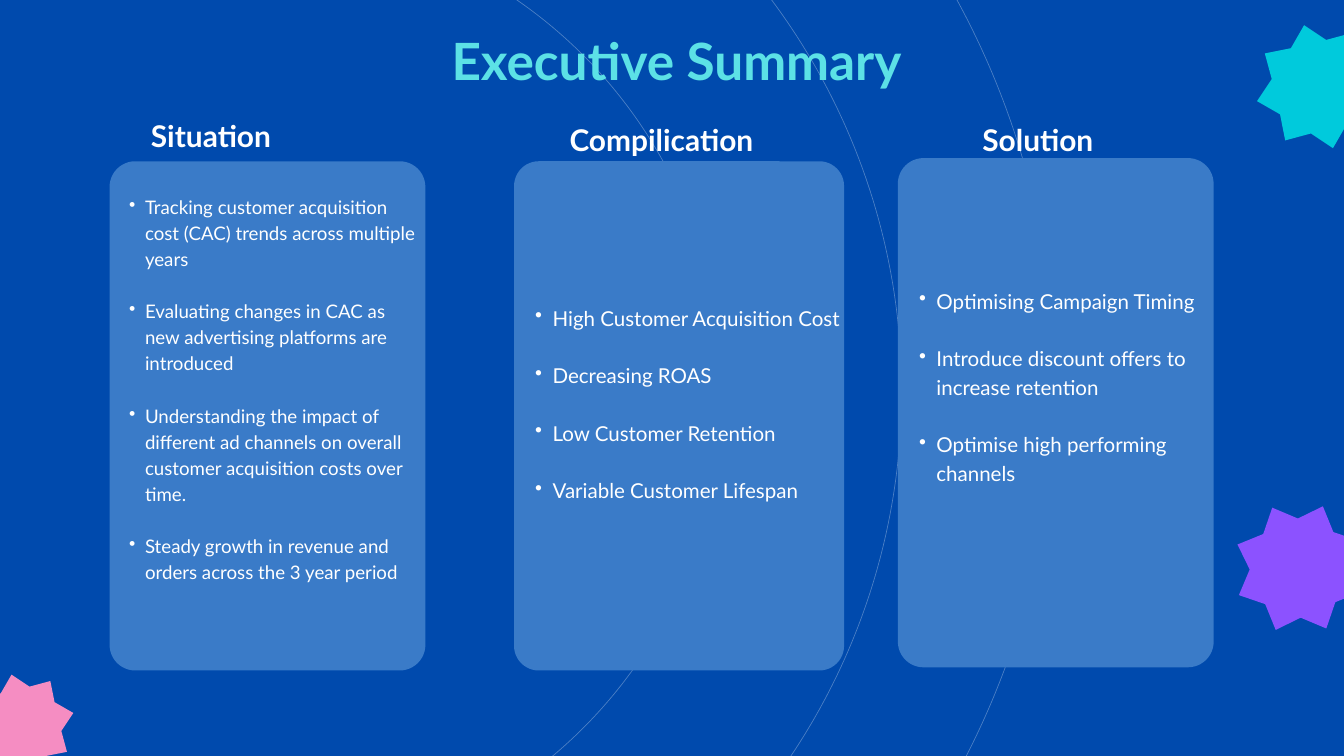
"""Build the executive summary slide: three summary cards on a blue ground."""
from dataclasses import dataclass

import lxml.etree
import pptx
import pptx.dml.color
import pptx.enum.shapes
import pptx.enum.text
import pptx.oxml.ns
import pptx.util

Pt = pptx.util.Pt
RGB = pptx.dml.color.RGBColor.from_string
SHAPE = pptx.enum.shapes.MSO_SHAPE
ALIGN = pptx.enum.text.PP_ALIGN
ANCHOR = pptx.enum.text.MSO_ANCHOR
qn = pptx.oxml.ns.qn


@dataclass(frozen=True)
class Theme:
    font: str = "Lato"
    ground: str = "004AAD"
    card: str = "3A7BC8"
    text: str = "FFFFFF"
    title: str = "5CE1E6"
    pink: str = "F58DC2"
    cyan: str = "00CADC"
    purple: str = "8C52FF"
    title_size: int = 55
    heading_size: int = 32
    dense_size: int = 20
    body_size: int = 22


THEME = Theme()


def place(slide, preset, left, top, width, height, color=None):
    figure = slide.shapes.add_shape(preset, Pt(left), Pt(top), Pt(width), Pt(height))
    figure.shadow.inherit = False
    if color:
        figure.fill.solid()
        figure.fill.fore_color.rgb = RGB(color)
        figure.line.fill.background()
    else:
        figure.fill.background()
    return figure


def add_ring(slide, center_x, center_y, diameter):
    radius = diameter / 2
    ring = place(slide, SHAPE.OVAL, center_x - radius, center_y - radius, diameter, diameter)
    ring.line.width = Pt(0.75)
    ring.line.color.rgb = RGB(THEME.text)
    stroke = next(ring.line._ln.iter(qn("a:srgbClr")))
    lxml.etree.SubElement(stroke, qn("a:alpha"), val="30000")


def add_star(slide, left, top, size, rotation, color):
    star = place(slide, SHAPE.STAR_8_POINT, left, top, size, size, color)
    star.adjustments[0] = 0.375
    star.rotation = rotation


def add_text(slide, box, lines, size, color, line_height, bold=False, inset=0):
    left, top, width, height = box
    frame = slide.shapes.add_textbox(Pt(left), Pt(top), Pt(width), Pt(height)).text_frame
    frame.word_wrap = True
    frame.margin_left = frame.margin_right = Pt(inset)
    frame.margin_top = frame.margin_bottom = Pt(inset)
    frame.text = "\n".join(lines)
    for paragraph in frame.paragraphs:
        paragraph.line_spacing = Pt(line_height)
        for run in paragraph.runs:
            run.font.name = THEME.font
            run.font.size = Pt(size)
            run.font.bold = bold
            run.font.color.rgb = RGB(color)
    return frame


def add_heading(slide, box, wording):
    frame = add_text(slide, box, [wording], THEME.heading_size, THEME.text, 44.8, bold=True)
    frame.paragraphs[0].alignment = ALIGN.CENTER


def add_card(slide, left, top, width, radius):
    card = place(slide, SHAPE.ROUNDED_RECTANGLE, left, top, width, 545.6, THEME.card)
    card.adjustments[0] = radius / width


def add_points(slide, box, points, size, extra_bottom=0):
    line_height = size * 1.4
    frame = add_text(slide, box, points, size, THEME.text, line_height, inset=4)
    frame.vertical_anchor = ANCHOR.MIDDLE
    frame.margin_bottom = Pt(4 + extra_bottom)
    hanging = Pt(size * 0.85)
    for position, paragraph in enumerate(frame.paragraphs):
        properties = paragraph._p.get_or_add_pPr()
        properties.set("marL", str(2 * hanging))
        properties.set("indent", str(-hanging))
        lxml.etree.SubElement(properties, qn("a:buChar"), char="•")
        if position:
            paragraph.space_before = Pt(line_height)


def main():
    deck = pptx.Presentation()
    deck.slide_width, deck.slide_height = Pt(1440), Pt(810)
    slide = deck.slides.add_slide(deck.slide_layouts[6])
    slide.background.fill.solid()
    slide.background.fill.fore_color.rgb = RGB(THEME.ground)

    for center_y, diameter in ((414.4, 1733), (419.6, 1403.3), (419.6, 1019.5)):
        add_ring(slide, 264.4, center_y, diameter)

    situation = [
        "Tracking customer acquisition cost (CAC) trends across multiple years",
        "Evaluating changes in CAC as new advertising platforms are introduced",
        "Understanding the impact of different ad channels on overall customer "
        "acquisition costs over time.",
        "Steady growth in revenue and orders across the 3 year period",
    ]
    solution = [
        "Optimising Campaign Timing",
        "Introduce discount offers to increase retention",
        "Optimise high performing channels",
    ]
    complication = [
        "High Customer Acquisition Cost",
        "Decreasing ROAS",
        "Low Customer Retention",
        "Variable Customer Lifespan",
    ]
    add_card(slide, 117.4, 172.8, 338.4, 27.5)
    add_points(slide, (117.4, 141, 338.4, 576.8), situation, THEME.dense_size, 28)
    add_card(slide, 962, 169.4, 338.4, 27.5)
    add_points(slide, (962, 141, 338.4, 574), solution, THEME.body_size, 30.8)
    add_card(slide, 550.8, 172.8, 353.6, 26.5)
    add_points(slide, (550.8, 144, 353.6, 574), complication, THEME.body_size)

    add_star(slide, -30.2, 721.4, 110.2, 31.8, THEME.pink)
    add_star(slide, 1345, 25.2, 135.4, 31.8, THEME.cyan)
    add_star(slide, 1321.2, 537.8, 141.8, 20.9, THEME.purple)

    add_text(slide, (483.8, 31, 556, 67), ["Executive Summary"],
             THEME.title_size, THEME.title, 66, bold=True)
    add_heading(slide, (157.7, 120.2, 136.8, 48.2), "Situation")
    add_heading(slide, (605.5, 123.8, 206.6, 48.2), "Compilication")
    add_heading(slide, (1049.8, 123.8, 124.6, 48.2), "Solution")

    deck.save("out.pptx")


if __name__ == "__main__":
    main()
